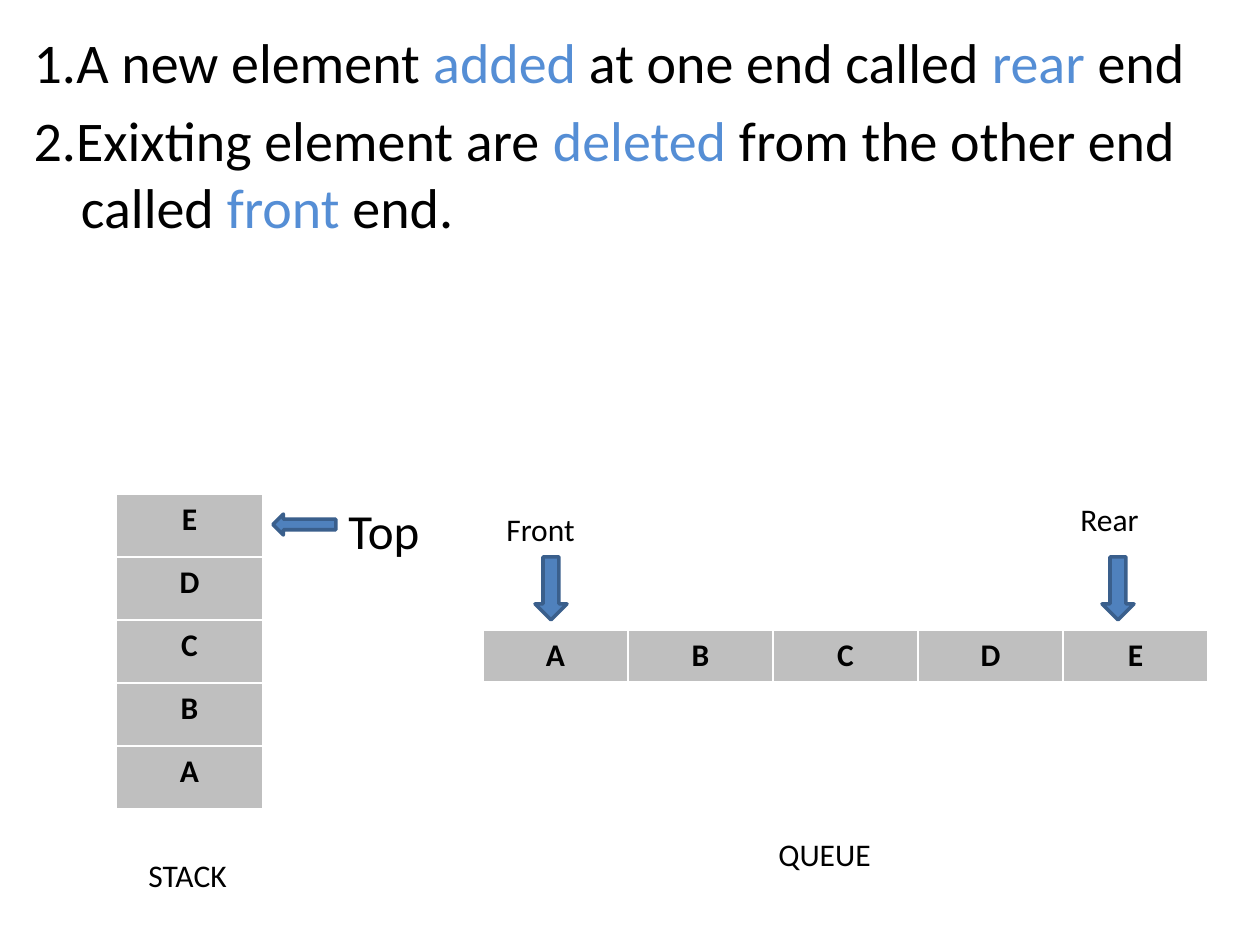
import pptx
import pptx.dml.color
import pptx.enum.shapes
import pptx.enum.text
import pptx.oxml
import pptx.oxml.ns
import pptx.util

PIXELS_PER_INCH = 126
BLACK = "000000"
HIGHLIGHT = "558ED5"
CELL_GREY = "BFBFBF"
ARROW_FILL = "4F81BD"
ARROW_LINE = "3A5F8C"


def px(length):
    return pptx.util.Inches(length / PIXELS_PER_INCH)


def color(hex_string):
    return pptx.dml.color.RGBColor.from_string(hex_string)


class SlideBuilder:
    """Holds the text style and the slide being filled."""

    font_name = "Calibri"
    font_size = 18

    def __init__(self, slide):
        self.slide = slide

    def run(self, paragraph, text, size=None, hex_color=BLACK, bold=False):
        run = paragraph.add_run()
        run.text = text
        run.font.name = self.font_name
        run.font.size = pptx.util.Pt(size or self.font_size)
        run.font.bold = bold
        run.font.color.rgb = color(hex_color)

    def body(self, left, top, width, height, paragraphs, size):
        """Fill the body placeholder; each paragraph is a list of (text, colour)."""
        shape = self.slide.placeholders[1]
        shape.left, shape.top = px(left), px(top)
        shape.width, shape.height = px(width), px(height)
        frame = shape.text_frame
        frame.auto_size = pptx.enum.text.MSO_AUTO_SIZE.NONE
        for index, runs in enumerate(paragraphs):
            paragraph = frame.add_paragraph() if index else frame.paragraphs[0]
            properties = paragraph._p.get_or_add_pPr()
            properties.append(pptx.oxml.parse_xml(
                f'<a:buNone {pptx.oxml.ns.nsdecls("a")}/>'))
            for text, hex_color in runs:
                self.run(paragraph, text, size, hex_color)

    def label(self, left, top, width, height, text, size=None):
        shape = self.slide.shapes.add_textbox(px(left), px(top), px(width), px(height))
        shape.text_frame.word_wrap = True
        self.run(shape.text_frame.paragraphs[0], text, size)

    def table(self, left, top, width, height, rows):
        """Add a grey table; the default table style draws its white borders."""
        table = self.slide.shapes.add_table(
            len(rows), len(rows[0]), px(left), px(top), px(width), px(height)).table
        table.horz_banding = False
        for row_index, row in enumerate(rows):
            for column_index, text in enumerate(row):
                cell = table.cell(row_index, column_index)
                cell.fill.solid()
                cell.fill.fore_color.rgb = color(CELL_GREY)
                paragraph = cell.text_frame.paragraphs[0]
                paragraph.alignment = pptx.enum.text.PP_ALIGN.CENTER
                self.run(paragraph, text, bold=True)

    def arrow(self, kind, left, top, width, height):
        shape = self.slide.shapes.add_shape(
            kind, px(left), px(top), px(width), px(height))
        shape.shadow.inherit = False
        shape.fill.solid()
        shape.fill.fore_color.rgb = color(ARROW_FILL)
        shape.line.color.rgb = color(ARROW_LINE)
        shape.line.width = pptx.util.Pt(2)


def main():
    presentation = pptx.Presentation()
    presentation.slide_width = px(1260)
    presentation.slide_height = px(945)
    slide = presentation.slides.add_slide(presentation.slide_layouts[1])
    title = slide.shapes.title
    title.element.getparent().remove(title.element)
    builder = SlideBuilder(slide)

    builder.body(21, 21, 1218, 892, [
        [("1.A new element ", BLACK), ("added", HIGHLIGHT),
         (" at one end called ", BLACK), ("rear", HIGHLIGHT), (" end", BLACK)],
        [("2.Exixting element are ", BLACK), ("deleted ", HIGHLIGHT),
         ("from the other end called ", BLACK), ("front", HIGHLIGHT),
         (" end.", BLACK)],
    ], size=32)

    elements = "ABCDE"
    shapes = pptx.enum.shapes.MSO_SHAPE

    builder.table(116, 494, 147, 315, [[name] for name in reversed(elements)])
    builder.arrow(shapes.LEFT_ARROW, 273, 514, 63, 21)
    builder.label(336, 494, 116, 72, "Top", size=28)
    builder.label(136, 850, 126, 53, "STACK")

    builder.table(483, 630, 725, 52, [list(elements)])
    builder.label(494, 504, 126, 50, "Front")
    builder.label(1061, 494, 126, 50, " Rear")
    for left in (535, 1102):
        builder.arrow(shapes.DOWN_ARROW, left, 557, 32, 63)
    builder.label(766, 829, 179, 53, "QUEUE")

    presentation.save("out.pptx")


if __name__ == "__main__":
    main()
